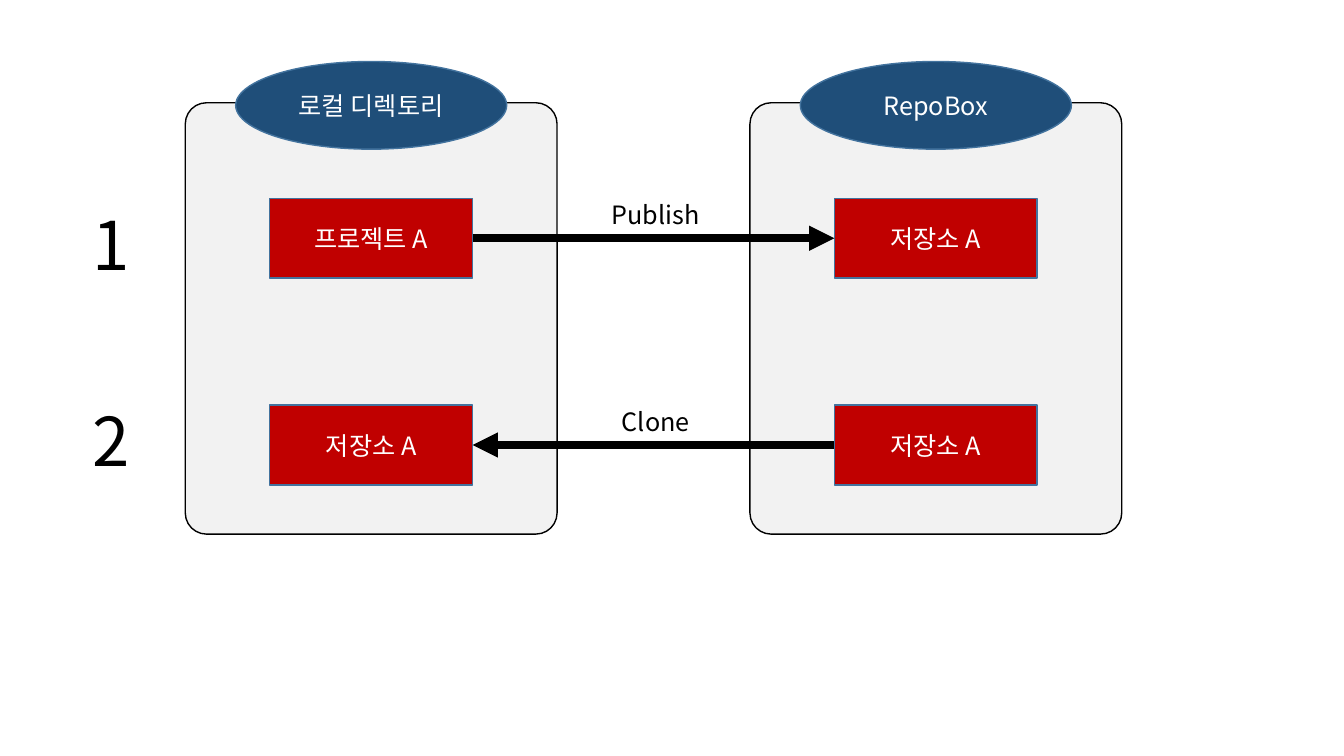
from lxml.etree import SubElement
from pptx import Presentation
from pptx.dml.color import RGBColor
from pptx.enum.shapes import MSO_CONNECTOR, MSO_SHAPE
from pptx.enum.text import MSO_ANCHOR, MSO_AUTO_SIZE, PP_ALIGN
from pptx.oxml.ns import qn
from pptx.util import Cm, Pt

FONT = "Noto Sans CJK KR"
COLORS = {
    "panel": "F2F2F2",
    "header": "1F4E79",
    "box": "C00000",
    "outline": "43739E",
    "dark": "000000",
    "light": "FFFFFF",
}
PANEL_TOP, PANEL_W, PANEL_H = 2.59, 9.37, 10.87
HEADER_W, HEADER_H = 6.83, 2.21
BOX_W, BOX_H = 5.11, 2.01
LOCAL_X, REMOTE_X = 4.67, 18.9
ROW_TOPS = (5.0, 10.21)
NUMBER_TOPS = (5.0, 9.93)


def rgb(name):
    """Return the named colour."""
    return RGBColor.from_string(COLORS[name])


def write(sp, text, size, color, align):
    """Put one formatted line of text in a shape."""
    tf = sp.text_frame
    tf.text = text
    p = tf.paragraphs[0]
    p.alignment = align
    r = p.runs[0]
    r.font.size = Pt(size)
    r.font.name = FONT
    r.font.color.rgb = rgb(color)
    SubElement(r.font._element, qn("a:ea"), typeface=FONT)


def add_block(s, kind, x, y, w, h, fill, line, text=None):
    """Add a filled shape, with centred text if any is given."""
    sp = s.shapes.add_shape(kind, Cm(x), Cm(y), Cm(w), Cm(h))
    sp.shadow.inherit = False
    sp.fill.solid()
    sp.fill.fore_color.rgb = rgb(fill)
    sp.line.color.rgb = rgb(line)
    sp.line.width = Pt(1)
    if text:
        sp.text_frame.vertical_anchor = MSO_ANCHOR.MIDDLE
        write(sp, text, 18, "light", PP_ALIGN.CENTER)
    return sp


def add_label(s, x, y, w, h, text, size, align, wrap):
    """Add a text box that fits its text."""
    sp = s.shapes.add_textbox(Cm(x), Cm(y), Cm(w), Cm(h))
    sp.text_frame.word_wrap = wrap
    sp.text_frame.auto_size = MSO_AUTO_SIZE.SHAPE_TO_FIT_TEXT
    write(sp, text, size, "dark", align)


def add_arrow(s, start, start_site, end, end_site):
    """Join two boxes with a thick arrow."""
    c = s.shapes.add_connector(MSO_CONNECTOR.STRAIGHT, 0, 0, 0, 0)
    c.begin_connect(start, start_site)
    c.end_connect(end, end_site)
    c.line.color.rgb = rgb("dark")
    c.line.width = Pt(6)
    SubElement(c.line._get_or_add_ln(), qn("a:tailEnd"), type="triangle")
    SubElement(c._element.spPr, qn("a:effectLst"))


def add_panel(s, x, title, box_texts):
    """Draw a titled panel and return its boxes, one per row."""
    panel = add_block(s, MSO_SHAPE.ROUNDED_RECTANGLE, x, PANEL_TOP,
                      PANEL_W, PANEL_H, "panel", "dark")
    panel.adjustments[0] = 0.057
    add_block(s, MSO_SHAPE.OVAL, x + (PANEL_W - HEADER_W) / 2, PANEL_TOP - 1.04,
              HEADER_W, HEADER_H, "header", "outline", title)
    return [
        add_block(s, MSO_SHAPE.RECTANGLE, x + (PANEL_W - BOX_W) / 2, top,
                  BOX_W, BOX_H, "box", "outline", text)
        for top, text in zip(ROW_TOPS, box_texts)
    ]


def main():
    """Build the publish and clone diagram."""
    prs = Presentation()
    prs.slide_width, prs.slide_height = Cm(33.87), Cm(19.05)
    s = prs.slides.add_slide(prs.slide_layouts[6])
    local = add_panel(s, LOCAL_X, "로컬 디렉토리", ("프로젝트 A", "저장소 A"))
    remote = add_panel(s, REMOTE_X, "RepoBox", ("저장소 A", "저장소 A"))
    add_arrow(s, local[0], 3, remote[0], 1)
    add_arrow(s, remote[1], 1, local[1], 3)
    for i, action in enumerate(("Publish", "Clone")):
        add_label(s, 2.08, NUMBER_TOPS[i], 1.32, 2.31, str(i + 1), 48,
                  PP_ALIGN.LEFT, False)
        add_label(s, 14.81, ROW_TOPS[i] - 0.09, 3.43, 1.02, action, 18,
                  PP_ALIGN.CENTER, True)
    prs.save("out.pptx")


if __name__ == "__main__":
    main()
